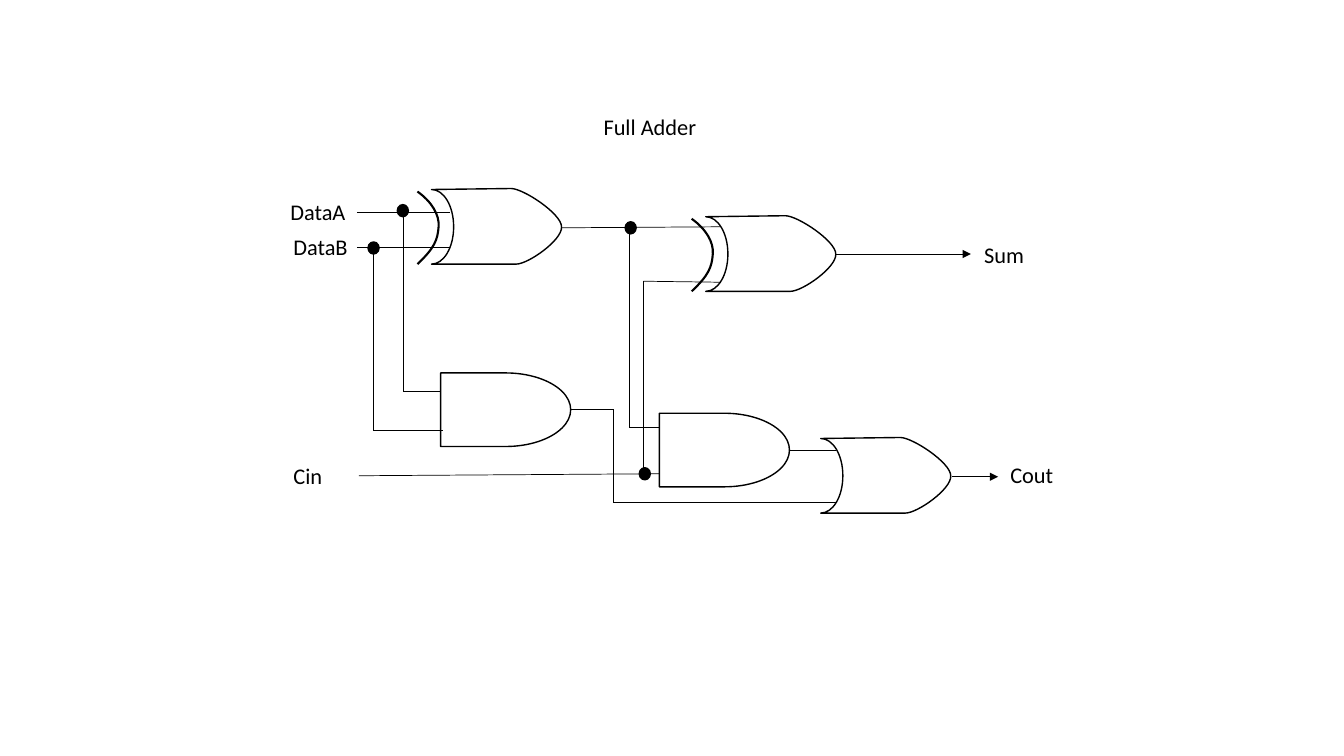
from itertools import pairwise

from lxml import etree
from pptx import Presentation
from pptx.dml.color import RGBColor
from pptx.enum.shapes import MSO_CONNECTOR, MSO_SHAPE
from pptx.enum.text import MSO_AUTO_SIZE, PP_ALIGN
from pptx.oxml.ns import qn
from pptx.util import Inches, Pt

STRAIGHT = MSO_CONNECTOR.STRAIGHT
DELAY = MSO_SHAPE.FLOWCHART_DELAY
JUNCTION = MSO_SHAPE.FLOWCHART_CONNECTOR
CENTER, LEFT = PP_ALIGN.CENTER, PP_ALIGN.LEFT
GROW = MSO_AUTO_SIZE.SHAPE_TO_FIT_TEXT
BLACK = RGBColor(0, 0, 0)
WHITE = RGBColor(255, 255, 255)

# Labels: text, left, top, width, alignment
LABELS = [
    ("DataA", 2.75, 1.84, 0.92, LEFT),
    ("DataB", 2.78, 2.18, 0.92, LEFT),
    ("Cin", 2.78, 4.46, 0.92, LEFT),
    ("Sum", 9.63, 2.26, 0.92, LEFT),
    ("Cout", 9.89, 4.45, 0.92, LEFT),
    ("Full Adder", 5.69, 0.99, 1.51, CENTER),
]

# Gates: left, top
XOR_GATES = [(7.0, 2.14), (4.28, 1.87)]
OR_GATE = (8.14, 4.34)
AND_GATES = [(4.37, 3.7), (6.54, 4.1)]
AND_SIZE = (1.29, 0.73)

# Outlines relative to a gate's corner: a start, then lines (one point)
# or Bezier curves (two controls and an end)
OR_OUTLINE = [
    [(0.79, 0)],
    [(0, 0.01)],
    [(0.12, 0.01), (0.22, 0.17), (0.22, 0.38)],
    [(0.22, 0.59), (0.12, 0.75), (0, 0.75)],
    [(0.84, 0.75)],
    [(0.96, 0.75), (1.3, 0.51), (1.29, 0.38)],
    [(1.29, 0.25), (0.91, 0), (0.79, 0)],
]
XOR_ARC = [
    [(-0.14, 0.03)],
    [(0, 0.13), (0.08, 0.26), (0.07, 0.38)],
    [(0.06, 0.51), (0.03, 0.59), (-0.14, 0.75)],
]

# Wires: corner points, each pair joined by a line
WIRES = [
    [(5.57, 2.26), (7.14, 2.25)],
    [(3.54, 2.11), (4.46, 2.11)],
    [(3.54, 2.45), (4.46, 2.45)],
    [(7.84, 4.47), (8.29, 4.47)],
    [(5.66, 4.06), (6.08, 4.06), (6.08, 4.98), (8.29, 4.98)],
    [(3.56, 4.72), (6.54, 4.7)],
    [(7.15, 2.8), (6.38, 2.79), (6.38, 4.7)],
    [(4.0, 2.11), (4.0, 3.88), (4.37, 3.88)],
    [(3.7, 2.45), (3.7, 4.27), (4.39, 4.27)],
    [(6.24, 2.25), (6.24, 4.24), (6.54, 4.24)],
]
OUTPUTS = [[(8.29, 2.52), (9.63, 2.52)], [(9.44, 4.73), (9.9, 4.73)]]
JUNCTIONS = [(3.94, 2.03), (3.65, 2.4), (6.2, 2.2), (6.34, 4.64)]
JUNCTION_SIZE = (0.11, 0.12)

deck = Presentation()
deck.slide_width, deck.slide_height = Inches(13.33), Inches(7.5)
page = deck.slides.add_slide(deck.slide_layouts[6])


def style(shape, fill, weight=1):
    shape.shadow.inherit = False
    if fill is None:
        shape.fill.background()
    else:
        shape.fill.solid()
        shape.fill.fore_color.rgb = fill
    shape.line.color.rgb = BLACK
    shape.line.width = Pt(weight)


def add_label(text, left, top, width, alignment):
    box = page.shapes.add_textbox(Inches(left), Inches(top), Inches(width), Inches(0.54))
    frame = box.text_frame
    frame.word_wrap = True
    frame.auto_size = GROW
    frame.margin_left = frame.margin_right = Inches(0.13)
    frame.margin_top = frame.margin_bottom = Inches(0.13)
    frame.text = text
    para = frame.paragraphs[0]
    para.alignment = alignment
    font = para.runs[0].font
    font.name, font.size, font.color.rgb = "Calibri", Pt(16), BLACK


def add_outline(outline, origin, fill, weight, closed):
    left, top = origin
    points = [(Inches(left + x), Inches(top + y)) for part in outline for x, y in part]
    builder = page.shapes.build_freeform(*points[0])
    builder.add_line_segments(points[1:], close=closed)
    shape = builder.convert_to_shape()
    # Join the three segments of each curve into one Bezier
    segments = iter(list(shape._element.iter(qn("a:lnTo"))))
    for part in outline[1:]:
        group = [next(segments) for _ in part]
        if len(group) == 3:
            curve = etree.Element(qn("a:cubicBezTo"))
            group[0].addprevious(curve)
            for segment in group:
                curve.append(segment[0])
                segment.getparent().remove(segment)
    style(shape, fill, weight)


def add_preset(kind, corner, size, fill):
    lengths = [Inches(value) for value in (*corner, *size)]
    style(page.shapes.add_shape(kind, *lengths), fill)


def add_wire(points, arrow=False):
    for start, end in pairwise(points):
        wire = page.shapes.add_connector(
            STRAIGHT, *[Inches(value) for value in (*start, *end)])
        wire.line.color.rgb = BLACK
        wire.line.width = Pt(0.5)
        if arrow:
            etree.SubElement(wire.line._get_or_add_ln(), qn("a:tailEnd"), type="triangle")
        etree.SubElement(wire._element.spPr, qn("a:effectLst"))


# Labels
for label in LABELS:
    add_label(*label)

# Gates
for origin in XOR_GATES:
    add_outline(OR_OUTLINE, origin, WHITE, 1, True)
    add_outline(XOR_ARC, origin, None, 1.5, False)
add_outline(OR_OUTLINE, OR_GATE, WHITE, 1, True)
for corner in AND_GATES:
    add_preset(DELAY, corner, AND_SIZE, WHITE)

# Wires, outputs and junction dots
for points in WIRES:
    add_wire(points)
for points in OUTPUTS:
    add_wire(points, arrow=True)
for corner in JUNCTIONS:
    add_preset(JUNCTION, corner, JUNCTION_SIZE, BLACK)

deck.save("out.pptx")
